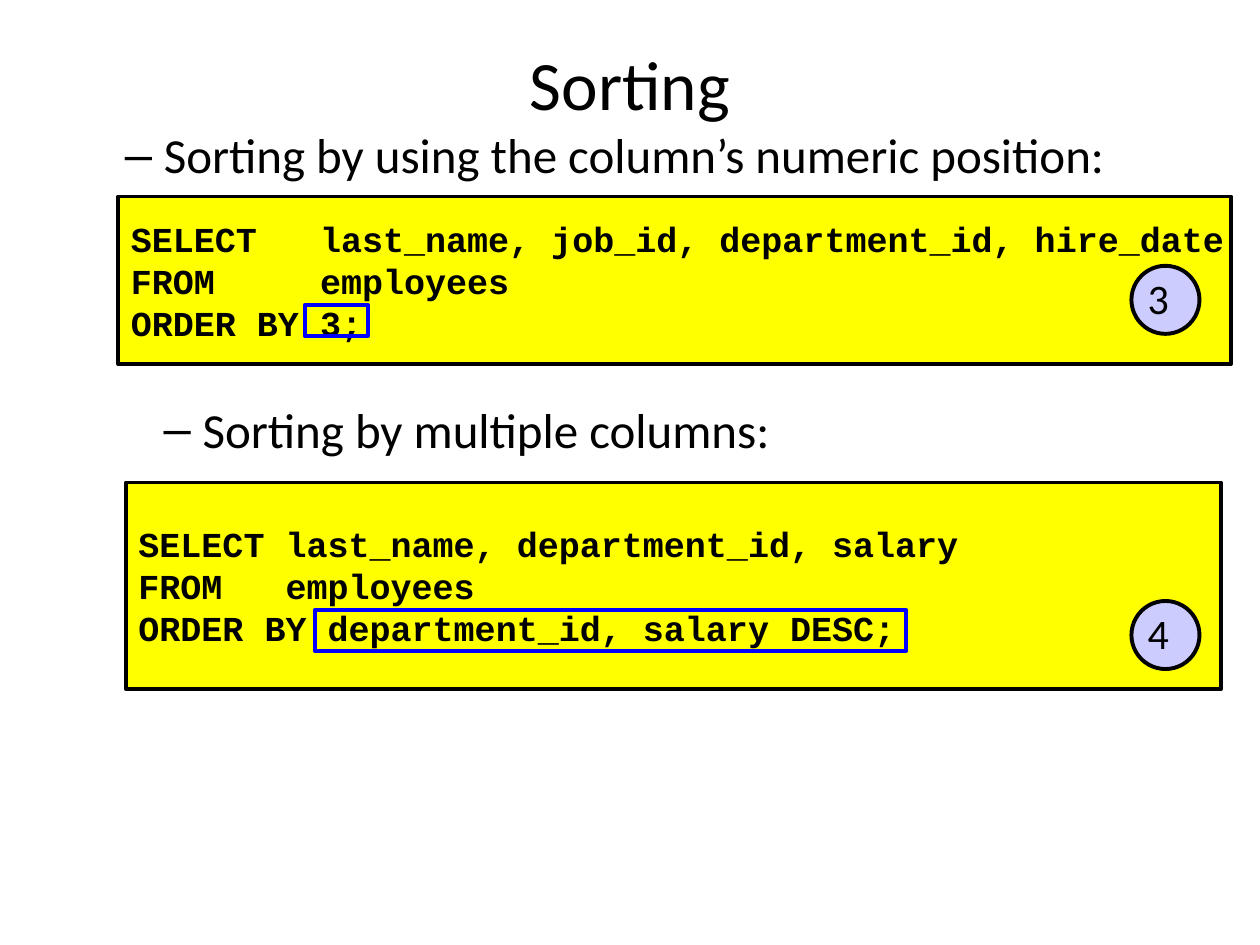
from lxml.etree import SubElement
from pptx import Presentation
from pptx.dml.color import RGBColor
from pptx.enum.shapes import MSO_SHAPE as Shape
from pptx.enum.text import MSO_ANCHOR as Anchor, PP_ALIGN as Align
from pptx.oxml.ns import qn
from pptx.util import Emu, Inches, Pt

COLORS = {"text": "000000", "code": "FFFF00", "highlight": "0000FF", "badge": "CCCCFF"}
TITLE = "Sorting"
BADGE_LEFT, BADGE_SIZE = 8.98, 0.54
# Boxes are left, top, width, height in inches.
SECTIONS = [
    {
        "heading": "Sorting by using the column’s numeric position:",
        "heading_box": (0.39, 0.94, 8.66, 0.63),
        "code": ["SELECT   last_name, job_id, department_id, hire_date",
                 "FROM     employees",
                 "ORDER BY 3;"],
        "code_box": (0.94, 1.56, 8.83, 1.33),
        "highlight_box": (2.42, 2.42, 0.5, 0.25),
        "badge": "3", "badge_top": 2.11,
    },
    {
        "heading": "Sorting by multiple columns:",
        "heading_box": (0.7, 3.12, 8.66, 0.63),
        "code": ["SELECT last_name, department_id, salary",
                 "FROM   employees",
                 "ORDER BY department_id, salary DESC;"],
        "code_box": (1, 3.83, 8.69, 1.64),
        "highlight_box": (2.5, 4.84, 4.69, 0.33),
        "badge": "4", "badge_top": 4.77,
    },
]
FONTS = {
    "title": {"name": "Calibri", "size": Pt(39.6)},
    "heading": {"name": "Calibri", "size": Pt(28)},
    "code": {"name": "Courier New", "size": Pt(20), "bold": True},
    "badge": {"name": "Calibri", "size": Pt(24)},
}


def place(shape, box):
    for side, length in zip(("left", "top", "width", "height"), box):
        setattr(shape, side, Inches(length))


def write(paragraph, text, style):
    run = paragraph.add_run()
    run.text = text
    for key, value in FONTS[style].items():
        setattr(run.font, key, value)
    run.font.color.rgb = RGBColor.from_string(COLORS["text"])


def write_heading(shape, text):
    """Write one dashed second-level line."""
    shape.text_frame.word_wrap = True
    paragraph = shape.text_frame.paragraphs[0]
    paragraph.level = 1
    paragraph.space_before = Pt(0.2 * 28)
    properties = paragraph._p.get_or_add_pPr()
    properties.set("marL", str(Inches(0.81)))
    properties.set("indent", str(Inches(-0.31)))
    SubElement(properties, qn("a:buFont"), typeface="Arial")
    SubElement(properties, qn("a:buChar"), char="–")
    write(paragraph, text, "heading")


def add_outlined(slide, kind, box, line, fill=None):
    shape = slide.shapes.add_shape(kind, *map(Inches, box))
    shape.shadow.inherit = False
    shape.line.color.rgb = RGBColor.from_string(COLORS[line])
    shape.line.width = Pt(2.25)
    if fill:
        shape.fill.solid()
        shape.fill.fore_color.rgb = RGBColor.from_string(COLORS[fill])
    else:
        shape.fill.background()
    return shape


def write_lines(shape, lines, style, side_inset, line_spacing=None):
    frame = shape.text_frame
    settings = {"word_wrap": False, "vertical_anchor": Anchor.MIDDLE,
                "margin_left": Inches(side_inset), "margin_right": Inches(side_inset),
                "margin_top": Inches(0.05), "margin_bottom": Inches(0.05)}
    for key, value in settings.items():
        setattr(frame, key, value)
    for index, line in enumerate(lines):
        paragraph = frame.add_paragraph() if index else frame.paragraphs[0]
        paragraph.alignment = Align.LEFT
        paragraph.line_spacing = line_spacing
        write(paragraph, line, style)


def add_section(slide, section, heading):
    write_heading(heading, section["heading"])
    code = add_outlined(slide, Shape.RECTANGLE, section["code_box"], "text", "code")
    write_lines(code, section["code"], "code", 0.1)
    add_outlined(slide, Shape.RECTANGLE, section["highlight_box"], "highlight")
    badge_box = (BADGE_LEFT, section["badge_top"], BADGE_SIZE, BADGE_SIZE)
    badge = add_outlined(slide, Shape.OVAL, badge_box, "text", "badge")
    write_lines(badge, [section["badge"]], "badge", 0.05, 0.95)


def main():
    presentation = Presentation()
    presentation.slide_width, presentation.slide_height = Inches(10), Inches(7.5)
    slide = presentation.slides.add_slide(presentation.slide_layouts[1])

    title, body = slide.placeholders
    place(title, (0.5, 0.3, 9, 0.72))
    title.text_frame.vertical_anchor = Anchor.MIDDLE
    title.text_frame.paragraphs[0].alignment = Align.CENTER
    write(title.text_frame.paragraphs[0], TITLE, "title")

    first, second = SECTIONS
    place(body, first["heading_box"])
    add_section(slide, first, body)
    second_heading = slide.shapes.add_textbox(*map(Inches, second["heading_box"]))
    add_section(slide, second, second_heading)

    presentation.save("out.pptx")


if __name__ == "__main__":
    main()
